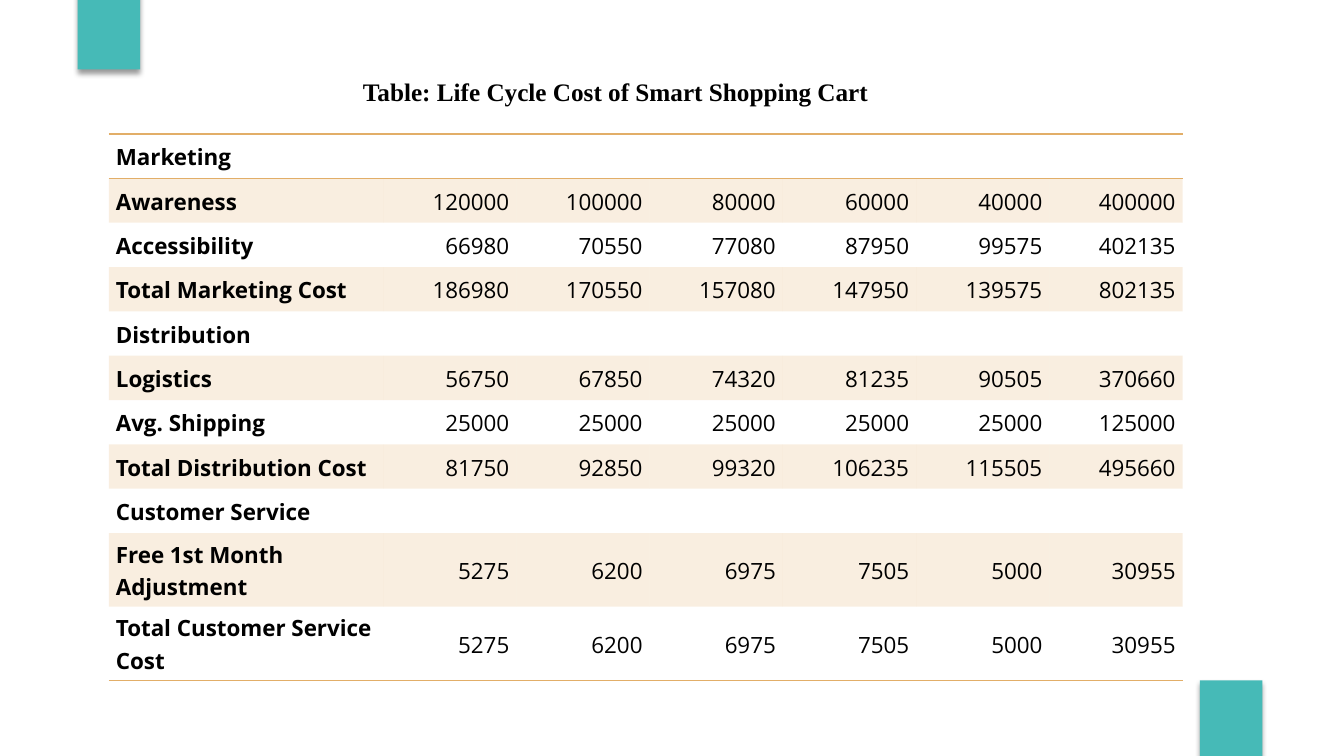
from lxml import etree
from pptx import Presentation
from pptx import util as u
from pptx.dml.color import RGBColor
from pptx.enum import shapes, text
from pptx.oxml import ns

COLORS = {"teal": "46BAB7", "gold": "E2AE68", "black": "000000", "white": "FFFFFF"}
NO_STYLE_NO_GRID = "{2D5ABB26-0587-4C30-8999-92F81FD0307C}"
COSTS = [
    ("Marketing",),
    ("Awareness", 120000, 100000, 80000, 60000, 40000, 400000),
    ("Accessibility", 66980, 70550, 77080, 87950, 99575, 402135),
    ("Total Marketing Cost", 186980, 170550, 157080, 147950, 139575, 802135),
    ("Distribution",),
    ("Logistics", 56750, 67850, 74320, 81235, 90505, 370660),
    ("Avg. Shipping", 25000, 25000, 25000, 25000, 25000, 125000),
    ("Total Distribution Cost", 81750, 92850, 99320, 106235, 115505, 495660),
    ("Customer Service",),
    ("Free 1st Month Adjustment", 5275, 6200, 6975, 7505, 5000, 30955),
    ("Total Customer Service Cost", 5275, 6200, 6975, 7505, 5000, 30955),
]


def rgb(name):
    return RGBColor.from_string(COLORS[name])


def inches(box):
    return [u.Inches(n) for n in box]


def sub(parent, tag, **attrs):
    return etree.SubElement(parent, ns.qn(tag), {k: str(v) for k, v in attrs.items()})


def write(tf, content, font="Open Sans", size=16, bold=False, align="LEFT"):
    p = tf.paragraphs[0]
    p.alignment = getattr(text.PP_ALIGN, align)
    p.line_spacing, p.space_before, p.space_after = 1.07, u.Pt(0), u.Pt(8)
    r = p.add_run()
    r.text = content
    r.font.name, r.font.size, r.font.bold = font, u.Pt(size), bold
    r.font.color.rgb = rgb("black")


# Teal corner blocks with a soft shadow
def add_corner_block(s, box):
    sp = s.shapes.add_shape(shapes.MSO_SHAPE.RECTANGLE, *inches(box))
    sp.fill.solid()
    sp.fill.fore_color.rgb = rgb("teal")
    sp.line.fill.background()
    sp.shadow.inherit = False
    effects = sp._element.spPr.find(ns.qn("a:effectLst"))
    shadow = sub(effects, "a:outerShdw", blurRad=u.Pt(4), dist=u.Pt(3),
                 dir=90 * 60000, rotWithShape=0)
    sub(sub(shadow, "a:srgbClr", val=COLORS["black"]), "a:alpha", val=40000)


# Table caption, held in the title placeholder
def add_title(s, box, content):
    title = s.shapes.title
    title.left, title.top, title.width, title.height = inches(box)
    tf = title.text_frame
    tf.word_wrap, tf.auto_size = True, text.MSO_AUTO_SIZE.NONE
    tf.vertical_anchor = text.MSO_ANCHOR.TOP
    write(tf, content, font="Times New Roman", size=18, bold=True)


def add_rule(cell, side):
    line = sub(cell._tc.get_or_add_tcPr(), f"a:{side}", w=u.Pt(1))
    sub(sub(line, "a:solidFill"), "a:srgbClr", val=COLORS["gold"])


def shade(cell):
    cell.fill.solid()
    cell.fill.fore_color.rgb = rgb("gold")
    color = cell._tc.tcPr.find(ns.qn("a:solidFill"))[0]
    sub(color, "a:alpha", val=20000)


# Cost table: bold labels, right-aligned figures, every second row shaded
def add_cost_table(s, box, rows, label_width=2.72, row_height=0.44, tall_height=0.73):
    figures = len(rows[1]) - 1
    table = s.shapes.add_table(len(rows), figures + 1, *inches(box)).table
    table.first_row = table.horz_banding = False
    table._tbl.tblPr.find(ns.qn("a:tableStyleId")).text = NO_STYLE_NO_GRID

    for j, column in enumerate(table.columns):
        width = (box[2] - label_width) / figures if j else label_width
        column.width = u.Inches(width)

    last = len(rows) - 1
    for i, values in enumerate(rows):
        table.rows[i].height = u.Inches(tall_height if i >= last - 1 else row_height)
        for j, cell in enumerate(table.rows[i].cells):
            cell.margin_left = cell.margin_right = u.Inches(0.07)
            cell.margin_top = cell.margin_bottom = 0
            cell.vertical_anchor = text.MSO_ANCHOR.MIDDLE
            if i == 0:
                add_rule(cell, "lnT")
            if i in (0, last):
                add_rule(cell, "lnB")
            if i % 2 and i < 4 or i in (5, 7, 9):
                shade(cell)
            else:
                cell.fill.background()
            if j < len(values):
                write(cell.text_frame, str(values[j]), bold=j == 0,
                      align="RIGHT" if j else "LEFT")


def main():
    prs = Presentation()
    prs.slide_width, prs.slide_height = inches((13.33, 7.5))
    s = prs.slides.add_slide(prs.slide_layouts[5])
    s.background.fill.solid()
    s.background.fill.fore_color.rgb = rgb("white")
    for left, top in ((0.77, -0.57), (11.9, 6.75)):
        add_corner_block(s, (left, top, 0.62, 1.26))
    add_title(s, (3.5, 0.69, 6.67, 0.41), "Table: Life Cycle Cost of Smart Shopping Cart")
    add_cost_table(s, (1.08, 1.33, 10.65, 5.42), COSTS)
    prs.save("out.pptx")


if __name__ == "__main__":
    main()
